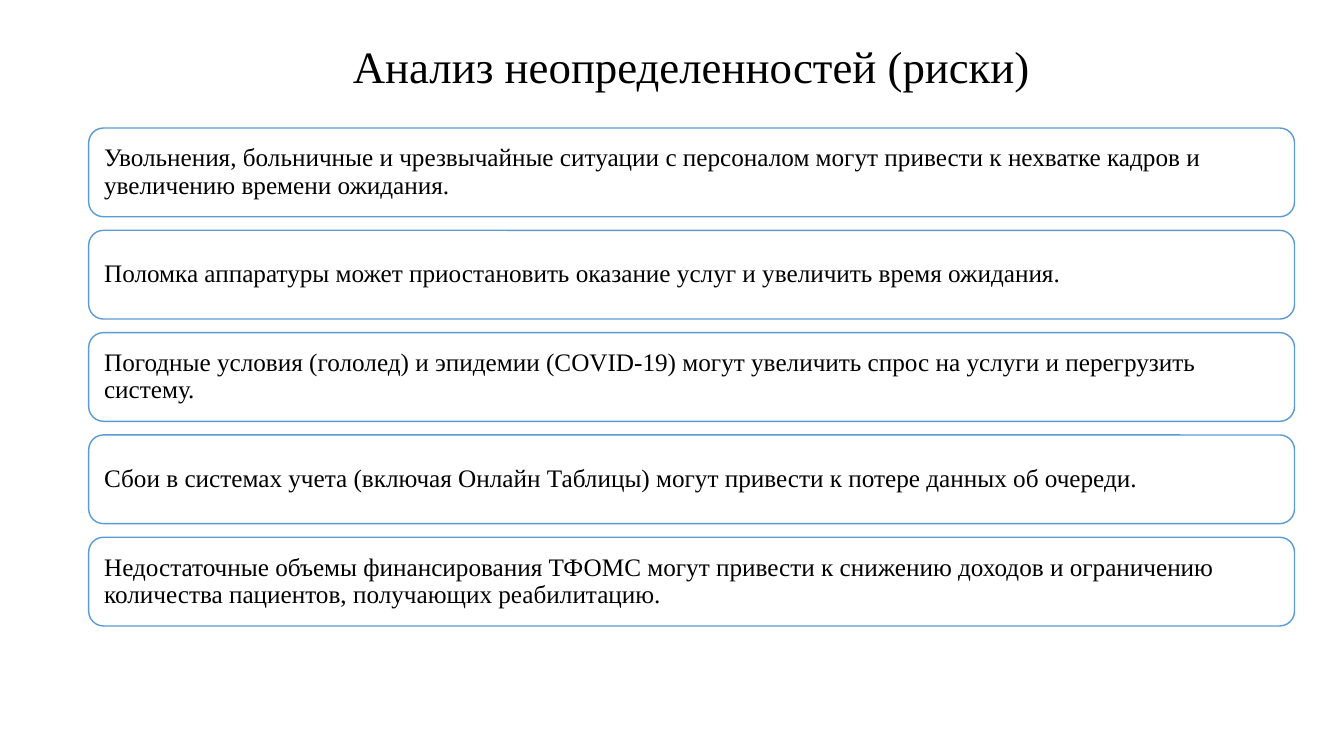
from dataclasses import dataclass

from pptx import Presentation
from pptx import util as u
from pptx.dml.color import RGBColor
from pptx.enum import shapes, text
from pptx.shapes.autoshape import Shape
from pptx.slide import Slide


@dataclass(frozen=True)
class Theme:
    font: str = "Times New Roman"
    ink: RGBColor = RGBColor.from_string("000000")
    card_fill: RGBColor = RGBColor.from_string("FFFFFF")
    card_line: RGBColor = RGBColor.from_string("5B9BD5")
    title_size: int = 32
    body_size: int = 18
    line_spacing: float = 0.9


@dataclass(frozen=True)
class RiskCard:
    wording: str
    top: float


THEME = Theme()
CARD_LEFT, CARD_WIDTH, CARD_HEIGHT = 0.88, 11.96, 0.88
FIRST_TOP, CARD_STEP = 1.27, 1.015
CARD_INSET = 0.11

TITLE = "Анализ неопределенностей (риски)"
RISKS = [
    "Увольнения, больничные и чрезвычайные ситуации с персоналом могут привести "
    "к нехватке кадров и увеличению времени ожидания.",
    "Поломка аппаратуры может приостановить оказание услуг и увеличить время ожидания.",
    "Погодные условия (гололед) и эпидемии (COVID-19) могут увеличить спрос "
    "на услуги и перегрузить систему.",
    "Сбои в системах учета (включая Онлайн Таблицы) могут привести к потере данных об очереди.",
    "Недостаточные объемы финансирования ТФОМС могут привести к снижению доходов "
    "и ограничению количества пациентов, получающих реабилитацию.",
]


def write_text(shape: Shape, wording: str, *, size: int, align: text.PP_ALIGN,
               anchor: text.MSO_ANCHOR, inset_x: float, inset_y: float) -> None:
    frame = shape.text_frame
    frame.word_wrap = True
    frame.auto_size = text.MSO_AUTO_SIZE.NONE
    frame.vertical_anchor = anchor
    frame.margin_left = frame.margin_right = u.Inches(inset_x)
    frame.margin_top = frame.margin_bottom = u.Inches(inset_y)
    paragraph = frame.paragraphs[0]
    paragraph.alignment = align
    paragraph.line_spacing = THEME.line_spacing
    run = paragraph.add_run()
    run.text = wording
    run.font.name = THEME.font
    run.font.size = u.Pt(size)
    run.font.color.rgb = THEME.ink


def add_title(slide: Slide) -> None:
    title = slide.shapes.title
    title.left, title.top = u.Inches(1.86), u.Inches(0.38)
    title.width, title.height = u.Inches(10), u.Inches(0.59)
    write_text(title, TITLE, size=THEME.title_size, align=text.PP_ALIGN.CENTER,
               anchor=text.MSO_ANCHOR.BOTTOM, inset_x=0.1, inset_y=0.05)


def add_card(slide: Slide, card: RiskCard) -> None:
    shape = slide.shapes.add_shape(
        shapes.MSO_SHAPE.ROUNDED_RECTANGLE, u.Inches(CARD_LEFT), u.Inches(card.top),
        u.Inches(CARD_WIDTH), u.Inches(CARD_HEIGHT))
    shape.shadow.inherit = False
    shape.fill.solid()
    shape.fill.fore_color.rgb = THEME.card_fill
    shape.line.color.rgb = THEME.card_line
    shape.line.width = u.Pt(1)
    write_text(shape, card.wording, size=THEME.body_size, align=text.PP_ALIGN.LEFT,
               anchor=text.MSO_ANCHOR.MIDDLE, inset_x=CARD_INSET, inset_y=CARD_INSET)


def main() -> None:
    presentation = Presentation()
    presentation.slide_width, presentation.slide_height = u.Inches(13.33), u.Inches(7.5)
    title_only = presentation.slide_layouts.get_by_name("Title Only")
    slide = presentation.slides.add_slide(title_only)
    add_title(slide)
    for row, wording in enumerate(RISKS):
        add_card(slide, RiskCard(wording, FIRST_TOP + row * CARD_STEP))
    presentation.save("out.pptx")


if __name__ == "__main__":
    main()
